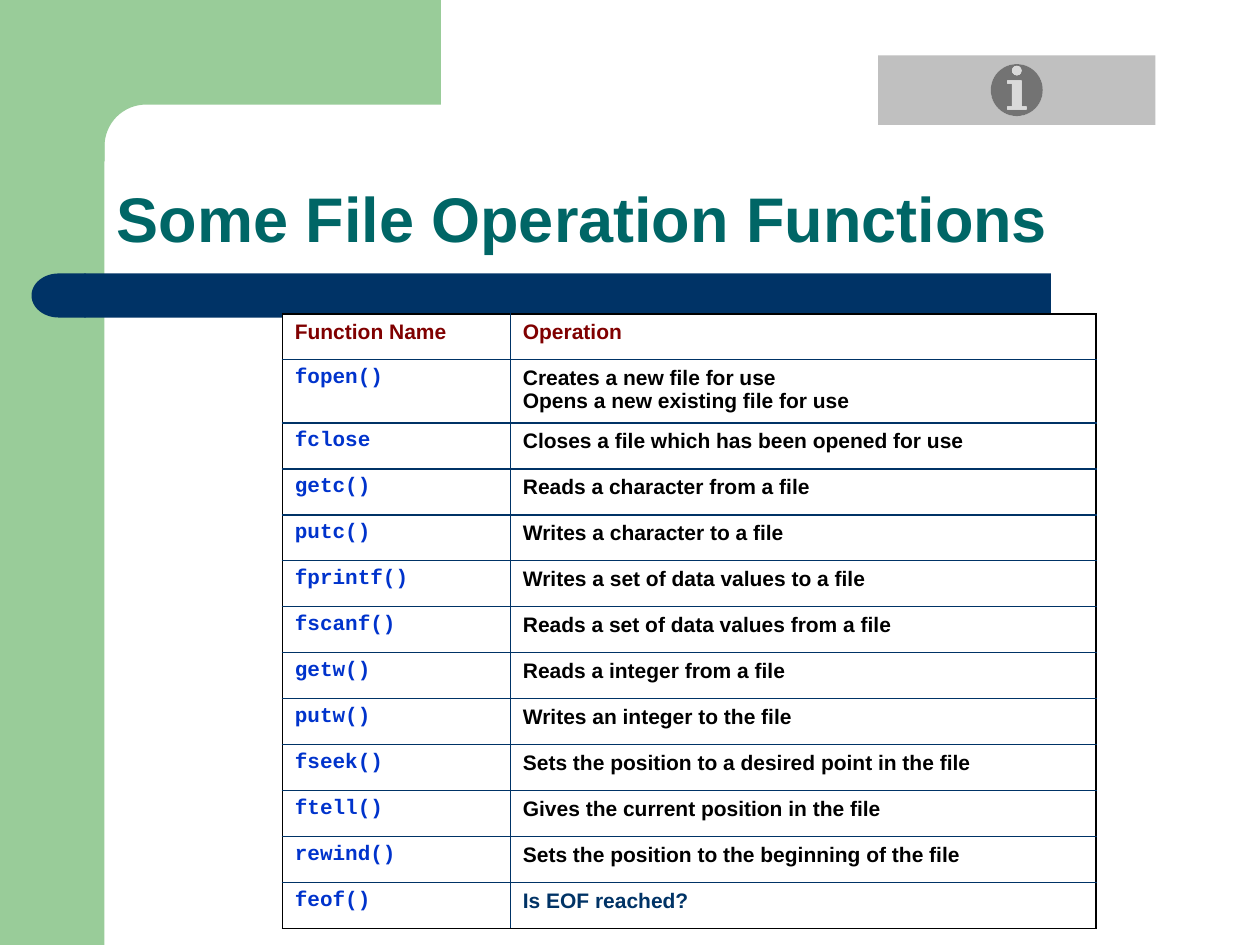
from dataclasses import dataclass
from math import cos, pi, sin

from lxml.etree import SubElement
from pptx import Presentation
from pptx.dml.color import RGBColor
from pptx.enum.shapes import MSO_SHAPE
from pptx.enum.text import MSO_ANCHOR
from pptx.oxml.ns import qn
from pptx.util import Inches, Pt


@dataclass(frozen=True)
class Theme:
    sans: str = "Arial"
    mono: str = "Courier New"
    green: str = "99CC99"
    navy: str = "003366"
    teal: str = "006666"
    maroon: str = "800000"
    blue: str = "0033CC"
    black: str = "000000"
    white: str = "FFFFFF"
    gray: str = "C0C0C0"
    title: int = 36
    body: int = 12


THEME = Theme()

ROWS = [
    ("Function Name", "Operation"),
    ("fopen()", "Creates a new file for use\vOpens a new existing file for use"),
    ("fclose", "Closes a file which has been opened for use"),
    ("getc()", "Reads a character from a file"),
    ("putc()", "Writes a character to a file"),
    ("fprintf()", "Writes a set of data values to a file"),
    ("fscanf()", "Reads a set of data values from a file"),
    ("getw()", "Reads a integer from a file"),
    ("putw()", "Writes an integer to the file"),
    ("fseek()", "Sets the position to a desired point in the file"),
    ("ftell()", "Gives the current position in the file"),
    ("rewind()", "Sets the position to the beginning of the file"),
    ("feof()", "Is EOF reached?"),
]


def paint(shape, color):
    shape.shadow.inherit = False
    shape.fill.solid()
    shape.fill.fore_color.rgb = RGBColor.from_string(color)
    shape.line.fill.background()


def add_block(slide, kind, box, color):
    shape = slide.shapes.add_shape(kind, *map(Inches, box))
    paint(shape, color)
    return shape


def add_corner(slide):
    # Top band whose inner corner is a quarter circle
    mid, rad, steps = 1.16, 0.33, 16
    angles = [pi / 2 * i / steps for i in range(steps + 1)]
    arc = [(mid - rad * sin(a), mid - rad * cos(a)) for a in angles]
    points = [(3.5, 0), (3.5, 0.83), *arc, (0.83, 1.28), (0.5, 1.28)]
    pen = slide.shapes.build_freeform(Inches(0.5), 0)
    pen.add_line_segments([(Inches(x), Inches(y)) for x, y in points])
    paint(pen.convert_to_shape(), THEME.green)


def style(frame, face, size, color):
    for para in frame.paragraphs:
        for run in para.runs:
            run.font.name = face
            run.font.size = Pt(size)
            run.font.bold = True
            run.font.color.rgb = RGBColor.from_string(color)


def add_title(slide, text, box):
    frame = slide.shapes.add_textbox(*map(Inches, box)).text_frame
    frame.word_wrap = True
    frame.vertical_anchor = MSO_ANCHOR.BOTTOM
    frame.text = text
    frame.paragraphs[0].line_spacing = 0.9
    style(frame, THEME.sans, THEME.title, THEME.teal)


def set_edges(cell, colors):
    props = cell._tc.get_or_add_tcPr()
    for side, color in colors.items():
        line = SubElement(props, qn(f"a:ln{side}"), w=str(Pt(1)))
        fill = SubElement(line, qn("a:solidFill"))
        SubElement(fill, qn("a:srgbClr"), val=color)


def cell_font(row, col, last):
    if row == 0:
        return THEME.sans, THEME.maroon
    if col == 0:
        return THEME.mono, THEME.blue
    return THEME.sans, THEME.navy if row == last else THEME.black


def add_grid(slide, rows, left, top, widths):
    last = len(rows) - 1
    heights = [Inches(0.475 if "\v" in text else 0.365) for _, text in rows]
    table = slide.shapes.add_table(
        len(rows), len(widths), Inches(left), Inches(top),
        Inches(sum(widths)), sum(heights)).table
    table.first_row = table.horz_banding = False
    for col, width in zip(table.columns, widths):
        col.width = Inches(width)
    for r, texts in enumerate(rows):
        table.rows[r].height = heights[r]
        for c, text in enumerate(texts):
            cell = table.cell(r, c)
            cell.text = text
            face, color = cell_font(r, c, last)
            style(cell.text_frame, face, THEME.body, color)
            # Black frame outside, navy rules inside
            outer = {"L": c == 0, "R": c == len(widths) - 1,
                     "T": r == 0, "B": r == last}
            set_edges(cell, {side: THEME.black if edge else THEME.navy
                             for side, edge in outer.items()})
            cell.fill.solid()
            cell.fill.fore_color.rgb = RGBColor.from_string(THEME.white)


def main():
    deck = Presentation()
    deck.slide_width, deck.slide_height = Inches(10), Inches(7.5)
    slide = deck.slides.add_slide(deck.slide_layouts[6])

    # Green side and top bands
    add_block(slide, MSO_SHAPE.RECTANGLE, (0, 0, 0.83, 7.5), THEME.green)
    add_corner(slide)

    # Navy bar with a round left end
    bar = add_block(slide, MSO_SHAPE.ROUNDED_RECTANGLE,
                    (0.67, 2.17, 7.67, 0.35), THEME.navy)
    bar.adjustments[0] = 0
    cap = add_block(slide, MSO_SHAPE.FLOWCHART_DELAY,
                    (0.25, 2.17, 0.43, 0.35), THEME.navy)
    cap.rotation = 180

    # Title, table and information button
    add_title(slide, "Some File Operation Functions", (0.83, 0.83, 8.67, 1.25))
    add_grid(slide, ROWS, 2.24, 2.49, (1.81, 4.65))
    add_block(slide, MSO_SHAPE.ACTION_BUTTON_INFORMATION,
              (6.97, 0.44, 2.2, 0.55), THEME.gray)

    deck.save("out.pptx")


if __name__ == "__main__":
    main()
